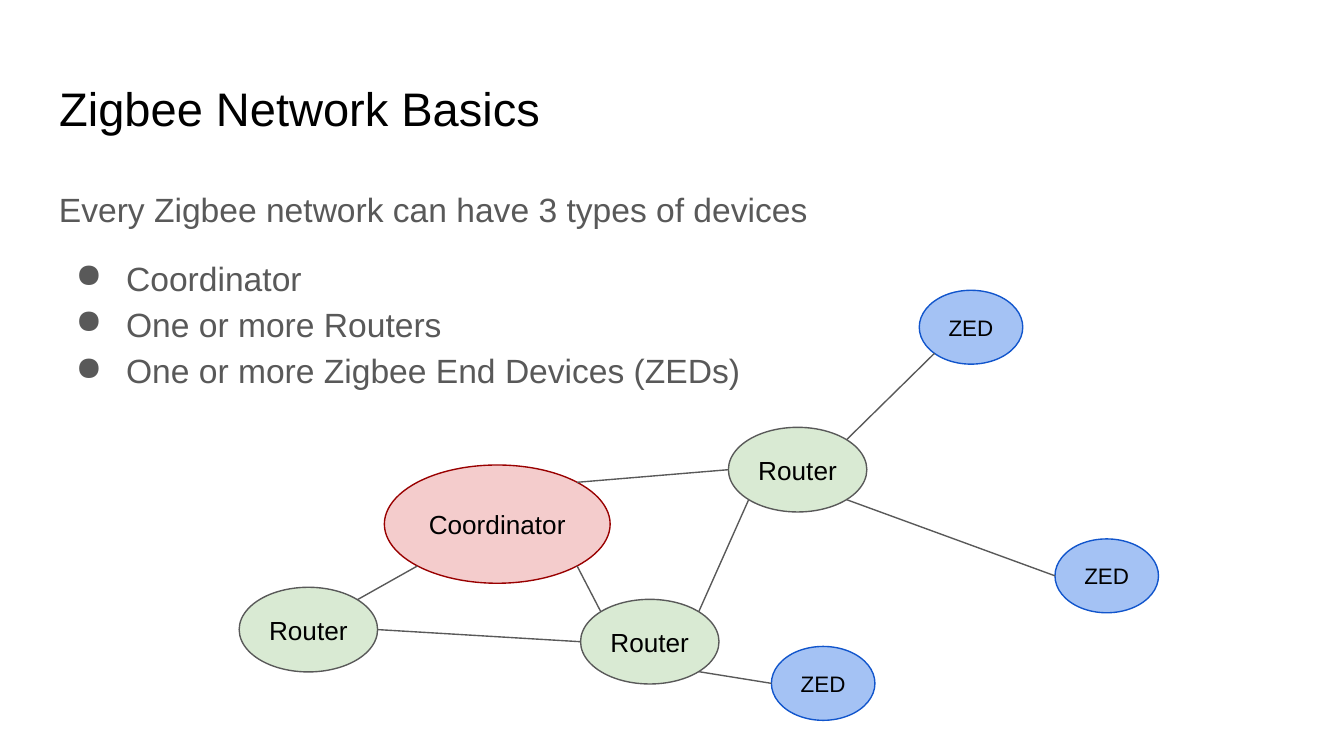
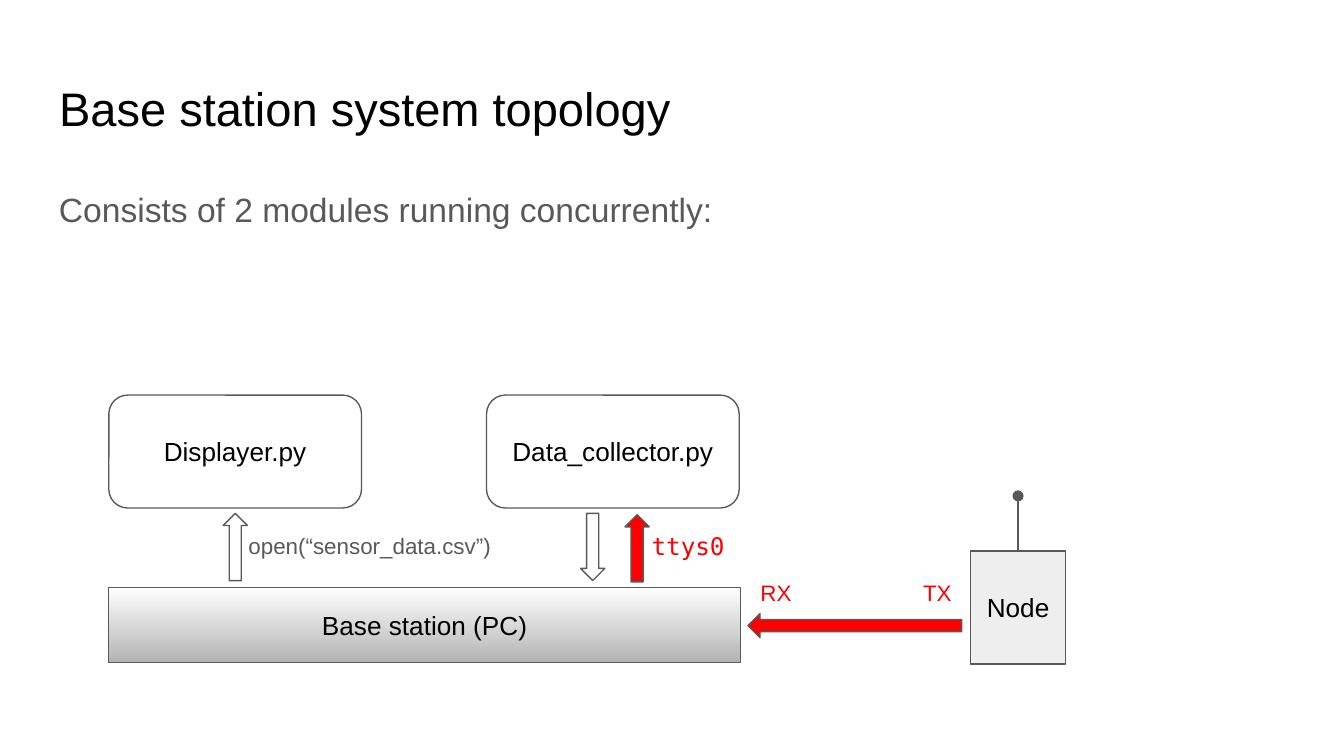
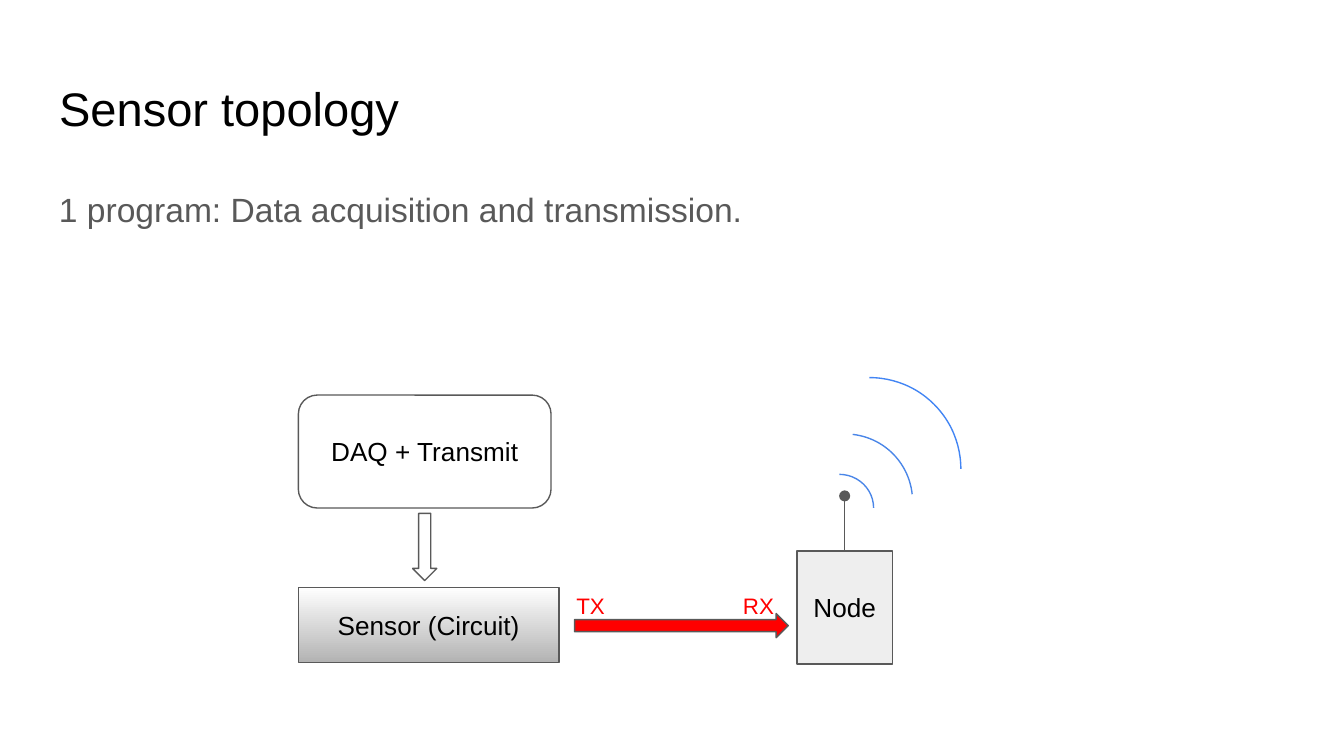
import math

import lxml.etree
import pptx
import pptx.dml.color
import pptx.enum.dml
import pptx.enum.shapes
import pptx.enum.text
import pptx.oxml.ns
import pptx.util

hue = pptx.dml.color.RGBColor.from_string
tag = pptx.oxml.ns.qn
Kind = pptx.enum.shapes.MSO_SHAPE
Side = pptx.enum.text.PP_ALIGN
Hold = pptx.enum.text.MSO_ANCHOR
Fit = pptx.enum.text.MSO_AUTO_SIZE
STRAIGHT = pptx.enum.shapes.MSO_CONNECTOR.STRAIGHT

GREY, BLACK, WHITE, RED = "595959", "000000", "FFFFFF", "FF0000"
THIN = pptx.util.Pt(0.75)

deck = pptx.Presentation()
deck.slide_width = pptx.util.Inches(10)
deck.slide_height = pptx.util.Inches(5.625)
CELL = deck.slide_width / 100  # square grid, 100 columns wide


def write(shape, lines, size, ink, font="Arial", side=Side.LEFT, pad=1, **form):
    """Fill a shape with paragraphs; form holds further text frame settings."""
    frame = shape.text_frame
    edges = ("margin_left", "margin_top", "margin_right", "margin_bottom")
    form = {"word_wrap": True, "vertical_anchor": Hold.TOP,
            **dict.fromkeys(edges, int(pad * CELL)), **form}
    for name, value in form.items():
        setattr(frame, name, value)
    frame.text = "\n".join(lines)
    look = {"size": pptx.util.Pt(size), "name": font, "bold": False}
    for para in frame.paragraphs:
        para.alignment = side
        for name, value in look.items():
            setattr(para.runs[0].font, name, value)
        para.runs[0].font.color.rgb = hue(ink)


def draw(slide, kind, box, fill, line=GREY, text=None, size=14, pad=1, turn=0):
    """Add a shape at box (grid units); a fill of two colours is a gradient."""
    shape = slide.shapes.add_shape(kind, *(int(n * CELL) for n in box))
    shape.shadow.inherit = False
    shape.rotation = turn
    shape.line.color.rgb = hue(line)
    shape.line.width = THIN
    if fill is None:
        shape.fill.background()
    elif isinstance(fill, tuple):
        shape.fill.gradient()
        shape.fill.gradient_angle = 270
        for stop, shade in zip(shape.fill.gradient_stops, fill):
            stop.color.rgb = hue(shade)
    else:
        shape.fill.solid()
        shape.fill.fore_color.rgb = hue(fill)
    if text:
        write(shape, [text], size, BLACK, side=Side.CENTER, pad=pad,
              vertical_anchor=Hold.MIDDLE)
    return shape


# Titles and body text
pages = [
    ("Zigbee Network Basics", 37.4,
     ["Every Zigbee network can have 3 types of devices", "Coordinator",
      "One or more Routers", "One or more Zigbee End Devices (ZEDs)"]),
    ("Base station system topology", 7.9,
     ["Consists of 2 modules running concurrently:"]),
    ("Sensor topology", 7.9,
     ["1 program: Data acquisition and transmission."]),
]
slides = []
for head, tall, lines in pages:
    slide = deck.slides.add_slide(deck.slide_layouts[5])
    slides.append(slide)
    title = slide.shapes.title
    place = dict(left=3.4, top=4.9, width=93.2, height=6.3)
    for name, value in place.items():
        setattr(title, name, int(value * CELL))
    write(title, [head], 25.2, BLACK, auto_size=Fit.NONE)
    body = slide.shapes.add_textbox(*(int(n * CELL) for n in (3.4, 12.6, 93.2, tall)))
    write(body, lines, 18, GREY)
    for rank, para in enumerate(body.text_frame.paragraphs):
        para.line_spacing = 1.15
        if rank == 0:
            continue
        if rank == 1:
            para.space_before = pptx.util.Pt(12)
        props = para._p.get_or_add_pPr()
        props.set("marL", str(int(5 * CELL)))
        props.set("indent", str(int(-3.75 * CELL)))
        tint = lxml.etree.SubElement(props, tag("a:buClr"))
        lxml.etree.SubElement(tint, tag("a:srgbClr"), val=GREY)
        lxml.etree.SubElement(props, tag("a:buChar"), char="●")
mesh, base, sensor = slides
wires = []

# Network: one style per device type, nodes by place
types = {
    "Router": (10.3, 6.3, "D9EAD3", GREY, 14),
    "Coordinator": (16.8, 8.8, "F4CCCC", "990000", 14),
    "ZED": (7.7, 5.5, "A4C2F4", "1155CC", 12),
}
nodes = {
    "east": ("Router", 54.2, 31.8),
    "hub": ("Coordinator", 28.6, 34.6),
    "south": ("Router", 43.2, 44.6),
    "zed top": ("ZED", 68.4, 21.6),
    "zed right": ("ZED", 78.5, 40.1),
    "zed low": ("ZED", 57.4, 48.1),
    "west": ("Router", 17.8, 43.7),
}
for label, left, top in nodes.values():
    wide, tall, fill, line, size = types[label]
    draw(mesh, Kind.OVAL, (left, top, wide, tall), fill, line, label, size, pad=0.5)

# Links leave and reach each oval at an angle, clockwise from its right end
links = [
    ("hub", 135, "west", 315), ("hub", 45, "south", 225),
    ("hub", 315, "east", 180), ("south", 45, "zed low", 180),
    ("east", 45, "zed right", 180), ("east", 315, "zed top", 135),
    ("west", 0, "south", 180), ("east", 135, "south", 315),
]
for start, out, end, into in links:
    ends = []
    for name, turn in ((start, out), (end, into)):
        label, left, top = nodes[name]
        wide, tall = types[label][:2]
        angle = math.radians(turn)
        ends += [int((left + wide * (1 + math.cos(angle)) / 2) * CELL),
                 int((top + tall * (1 + math.sin(angle)) / 2) * CELL)]
    wires.append(mesh.shapes.add_connector(STRAIGHT, *ends))

# Modules stand on row 29.4, stations on row 43.7
modules = [(base, 36.2, "Data_collector.py"), (base, 8.1, "Displayer.py"),
           (sensor, 22.2, "DAQ + Transmit")]
for slide, left, text in modules:
    draw(slide, Kind.ROUNDED_RECTANGLE, (left, 29.4, 18.8, 8.4), WHITE, text=text)

stations = [(base, 8.1, 47, "Base station (PC)"),
            (sensor, 22.2, 19.4, "Sensor (Circuit)")]
for slide, left, wide, text in stations:
    draw(slide, Kind.RECTANGLE, (left, 43.7, wide, 5.6), (WHITE, "B3B3B3"), text=text)

arrows = [
    (base, 16.6, 38.2, 5, 180, WHITE), (base, 43.2, 38.2, 5, 0, WHITE),
    (base, 46.5, 38.3, 5, 180, RED), (base, 62.7, 38.6, 15.9, 90, RED),
    (sensor, 30.7, 38.2, 5, 0, WHITE), (sensor, 49.8, 38.6, 15.9, 270, RED),
]
for slide, left, top, long, turn, fill in arrows:
    draw(slide, Kind.DOWN_ARROW, (left, top, 1.8, long), fill, turn=turn)

# Radio box with its antenna
for slide, left in ((base, 72.2), (sensor, 59.3)):
    radio = draw(slide, Kind.RECTANGLE, (left, 41, 7.1, 8.4), "EEEEEE", text="Node")
    mid = radio.left + radio.width // 2
    mast = slide.shapes.add_connector(STRAIGHT, mid, radio.top, mid, int(36.9 * CELL))
    mast.begin_connect(radio, 0)
    wires.append(mast)
    lxml.etree.SubElement(mast.line._get_or_add_ln(), tag("a:tailEnd"), type="oval")

for wire in wires:
    wire.line.color.rgb = hue(GREY)
    wire.line.width = THIN
    lxml.etree.SubElement(wire._element.spPr, tag("a:effectLst"))

notes = [
    (base, (47.5, 38.5, 11.5, 4.2), "ttys0", 13, RED, "DejaVu Sans Mono"),
    (base, (55.6, 42.1, 8, 4), "RX", 12, RED, "Arial"),
    (base, (67.7, 42.1, 8, 4), "TX", 12, RED, "Arial"),
    (base, (17.5, 38.6, 21.8, 4), "open(“sensor_data.csv”)", 12, GREY, "Arial"),
    (sensor, (54.3, 43.1, 8, 4), "RX", 12, RED, "Arial"),
    (sensor, (41.9, 43.1, 8, 4), "TX", 12, RED, "Arial"),
]
for slide, box, text, size, ink, font in notes:
    label = slide.shapes.add_textbox(*(int(n * CELL) for n in box))
    write(label, [text], size, ink, font, auto_size=Fit.SHAPE_TO_FIT_TEXT)

# Radio waves; arc angles are in units of 0.6 per degree
waves = [
    ((59.9, 35.3, 5.1, 5), 270, 0, "4A86E8"),
    ((57.9, 32.3, 10, 10), 276.3, 354, "4A86E8"),
    ((57.9, 28.1, 13.6, 13.6), 270, 0, "4285F4"),
]
for box, start, end, ink in waves:
    wave = draw(sensor, Kind.ARC, box, None, ink)
    wave.adjustments[0] = start * 0.6
    wave.adjustments[1] = end * 0.6

deck.save("out.pptx")
